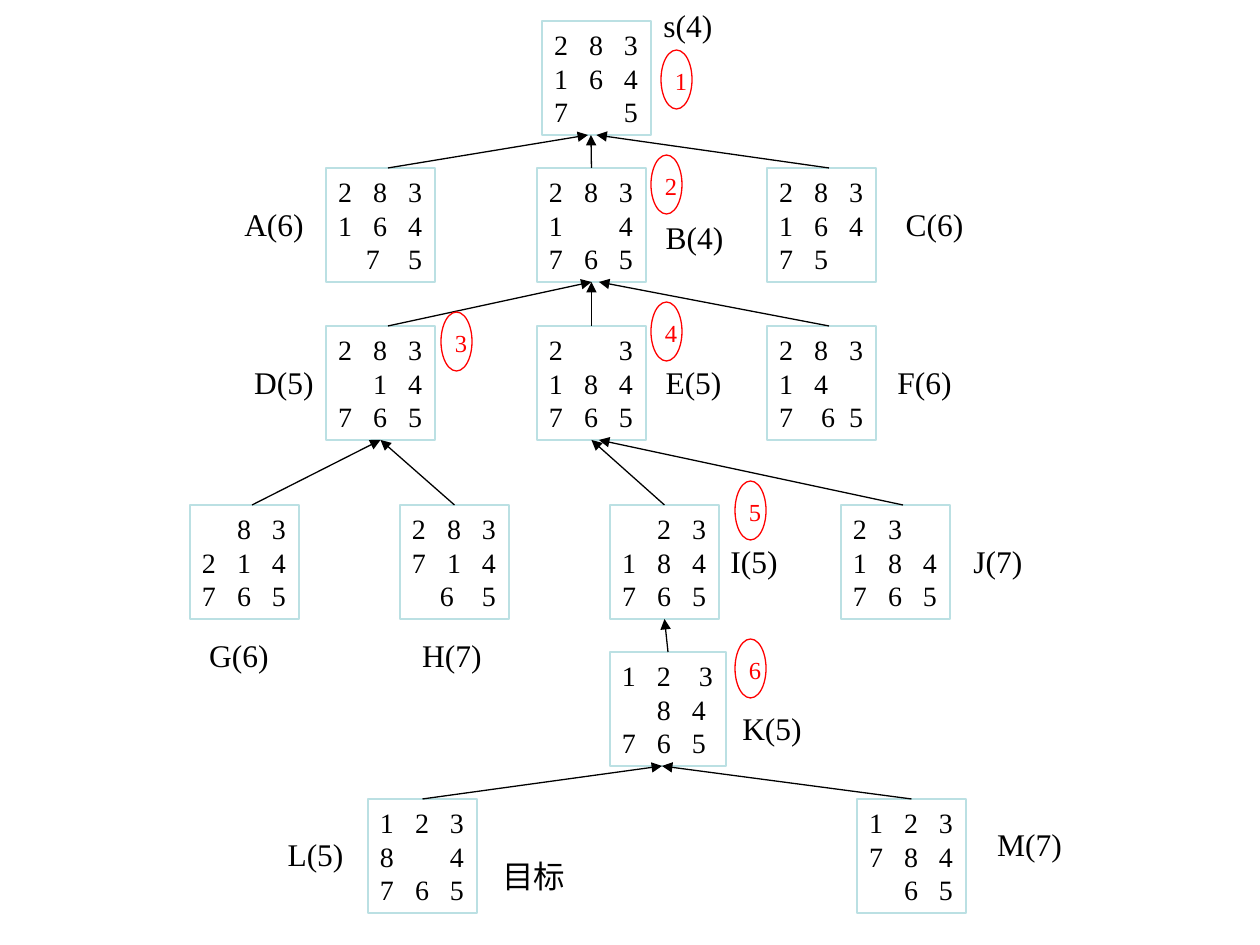
from dataclasses import dataclass, field
from typing import Sequence

from lxml.etree import SubElement
from pptx import Presentation
from pptx.dml.color import RGBColor
from pptx.enum.shapes import MSO_CONNECTOR as Line, MSO_SHAPE as Preset
from pptx.enum.text import MSO_ANCHOR as Anchor, PP_ALIGN as Align
from pptx.oxml.ns import qn
from pptx.util import Emu, Pt

PX = 914400 / 126
FONT = "Times New Roman"
COLORS = {"board": "BBE0E3", "ink": "000000", "step": "FF0000"}
BOARD_HEIGHT = 114
LABEL_HEIGHT = 50
STEP_WIDTH, STEP_HEIGHT = 31, 59
COLUMN_STOPS = (35, 70)
SNAP = 4


@dataclass(frozen=True)
class Board:
    name: str
    left: int
    top: int
    rows: str
    width: int = 109
    row_stops: dict[int, tuple[int, int]] = field(default_factory=dict)


@dataclass(frozen=True)
class Edge:
    child: str
    parent: str
    start: int
    end: int


@dataclass(frozen=True)
class Label:
    text: str
    left: int
    top: int
    width: int


@dataclass(frozen=True)
class Step:
    left: int
    top: int


BOARDS = [
    Board("s", 542, 21, "283/164/7 5"),
    Board("A", 326, 168, "283/164/ 75", row_stops={2: (28, 70)}),
    Board("B", 537, 168, "283/1 4/765"),
    Board("C", 767, 168, "283/164/75"),
    Board("D", 326, 326, "283/ 14/765"),
    Board("E", 537, 326, "2 3/184/765"),
    Board("F", 767, 326, "283/14/765", row_stops={2: (42, 70)}),
    Board("G", 190, 505, " 83/214/765"),
    Board("H", 400, 505, "283/714/ 65", row_stops={2: (28, 70)}),
    Board("I", 610, 505, " 23/184/765"),
    Board("J", 841, 505, "23/184/765"),
    Board("K", 610, 652, "123/ 84/765", width=116, row_stops={0: (35, 77)}),
    Board("L", 368, 799, "123/8 4/765"),
    Board("M", 857, 799, "123/784/ 65"),
]
EDGES = [
    Edge("A", "s", 388, 588),
    Edge("B", "s", 591, 591),
    Edge("C", "s", 829, 599),
    Edge("D", "B", 388, 588),
    Edge("E", "B", 591, 591),
    Edge("F", "B", 829, 599),
    Edge("G", "D", 252, 378),
    Edge("H", "D", 451, 378),
    Edge("I", "E", 662, 588),
    Edge("J", "E", 903, 599),
    Edge("K", "I", 664, 664),
    Edge("L", "K", 420, 662),
    Edge("M", "K", 914, 662),
]
LABELS = [
    Label("s(4)", 651, 0, 74),
    Label("A(6)", 232, 199, 84),
    Label("B(4)", 653, 212, 83),
    Label("C(6)", 893, 199, 83),
    Label("D(5)", 242, 357, 84),
    Label("E(5)", 653, 357, 81),
    Label("F(6)", 885, 357, 79),
    Label("G(6)", 197, 630, 84),
    Label("H(7)", 410, 630, 84),
    Label("I(5)", 718, 536, 72),
    Label("J(7)", 961, 536, 74),
    Label("K(5)", 730, 703, 84),
    Label("L(5)", 275, 829, 81),
    Label("M(7)", 977, 819, 105),
    Label("目标", 490, 851, 88),
]
STEPS = [Step(661, 50), Step(651, 155), Step(441, 312), Step(651, 302), Step(735, 481), Step(735, 639)]


def px(length: float) -> Emu:
    return Emu(round(length * PX))


def write_text(shape, text: str, *, size: int, color: str = "ink", align=Align.CENTER,
               wrap: bool = False, insets: Sequence[int] = (0, 6, 0, 6),
               spacing: float | None = None, stops: Sequence[Sequence[int]] = ()) -> None:
    frame = shape.text_frame
    frame.word_wrap = wrap
    frame.vertical_anchor = Anchor.MIDDLE
    frame.margin_left, frame.margin_top, frame.margin_right, frame.margin_bottom = map(px, insets)
    frame.text = text
    for index, paragraph in enumerate(frame.paragraphs):
        paragraph.alignment = align
        if spacing:
            paragraph.line_spacing = Pt(spacing)
        if stops:
            tabs = SubElement(paragraph._p.get_or_add_pPr(), qn("a:tabLst"))
            for stop in stops[index]:
                SubElement(tabs, qn("a:tab"), pos=str(px(stop)), algn="l")
        paragraph.font.name = FONT
        paragraph.font.size = Pt(size)
        paragraph.font.color.rgb = RGBColor.from_string(COLORS[color])


def add_outline(slide, preset, left: int, top: int, width: int, height: int, color: str):
    shape = slide.shapes.add_shape(preset, px(left), px(top), px(width), px(height))
    shape.shadow.inherit = False
    shape.fill.background()
    shape.line.color.rgb = RGBColor.from_string(COLORS[color])
    shape.line.width = Pt(0.75)
    return shape


def draw_board(slide, board: Board):
    shape = add_outline(slide, Preset.RECTANGLE, board.left, board.top, board.width, BOARD_HEIGHT, "board")
    rows = board.rows.split("/")
    text = "\n".join("\t".join(tile.strip() for tile in row) for row in rows)
    stops = [board.row_stops.get(index, COLUMN_STOPS) for index in range(len(rows))]
    write_text(shape, text, size=16, align=Align.LEFT, wrap=True, insets=(12, 6, 0, 6),
               spacing=19.1, stops=stops)
    return shape


def draw_edge(slide, edge: Edge, boards: dict[str, Board], shapes: dict) -> None:
    child, parent = boards[edge.child], boards[edge.parent]
    connector = slide.shapes.add_connector(
        Line.STRAIGHT, px(edge.start), px(child.top), px(edge.end), px(parent.top + BOARD_HEIGHT))
    if abs(child.left + child.width / 2 - edge.start) <= SNAP:
        connector.begin_connect(shapes[edge.child], 0)
    if abs(parent.left + parent.width / 2 - edge.end) <= SNAP:
        connector.end_connect(shapes[edge.parent], 2)
    connector.line.color.rgb = RGBColor.from_string(COLORS["ink"])
    connector.line.width = Pt(0.75)
    SubElement(connector.line._get_or_add_ln(), qn("a:tailEnd"), type="triangle")
    SubElement(connector._element.spPr, qn("a:effectLst"))


def draw_label(slide, label: Label) -> None:
    box = slide.shapes.add_textbox(px(label.left), px(label.top), px(label.width), px(LABEL_HEIGHT))
    write_text(box, label.text, size=18, wrap=True)


def draw_step(slide, number: int, step: Step) -> None:
    shape = add_outline(slide, Preset.OVAL, step.left, step.top, STEP_WIDTH, STEP_HEIGHT, "step")
    write_text(shape, str(number), size=14, color="step", insets=(9, 3, 0, 0))


def main() -> None:
    """Build the eight-puzzle search tree slide."""
    presentation = Presentation()
    presentation.slide_width, presentation.slide_height = px(1260), px(945)
    slide = presentation.slides.add_slide(presentation.slide_layouts[6])
    boards = {board.name: board for board in BOARDS}
    shapes = {board.name: draw_board(slide, board) for board in BOARDS}
    for edge in EDGES:
        draw_edge(slide, edge, boards, shapes)
    for label in LABELS:
        draw_label(slide, label)
    for number, step in enumerate(STEPS, start=1):
        draw_step(slide, number, step)
    presentation.save("out.pptx")


if __name__ == "__main__":
    main()
